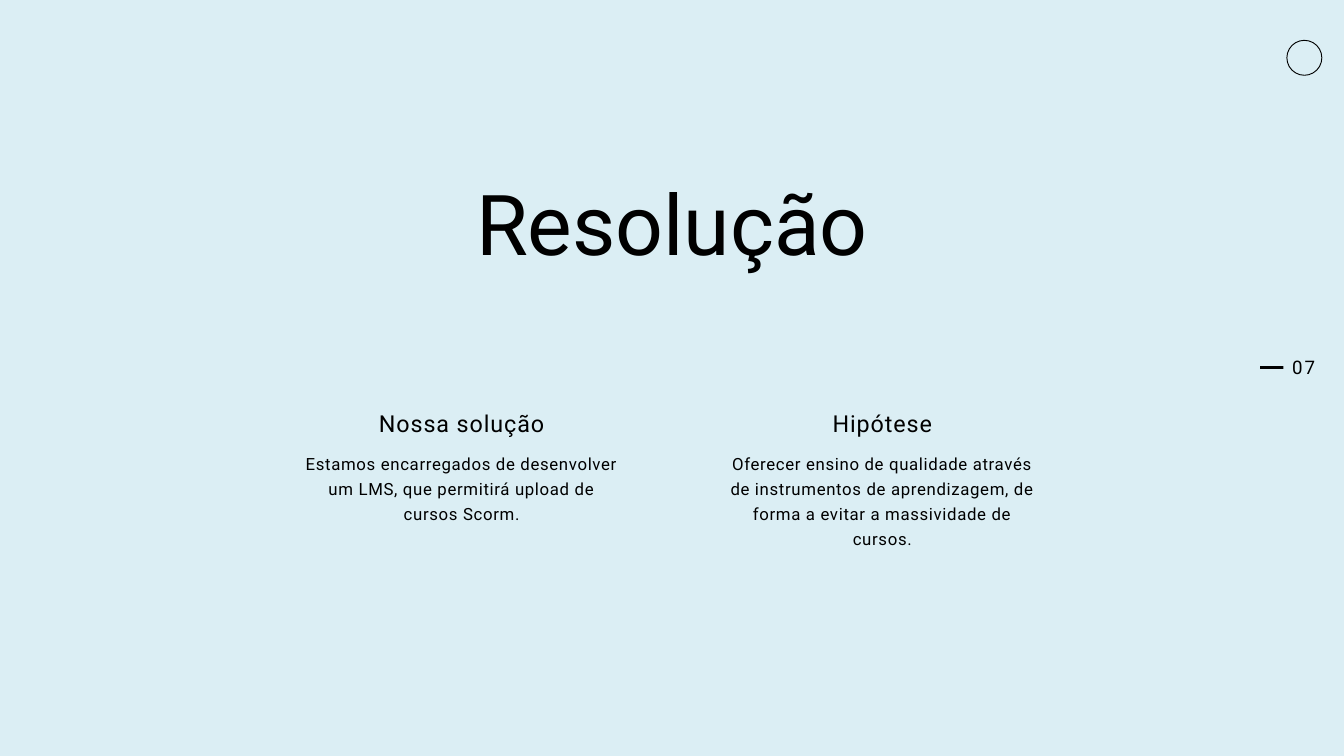
"""Build the "Resolução" slide: a centred title above two text columns."""
from pptx import Presentation
from pptx.dml.color import RGBColor
from pptx.enum.shapes import MSO_SHAPE
from pptx.enum.text import MSO_ANCHOR, MSO_AUTO_SIZE, PP_ALIGN
from pptx.util import Inches, Pt

OVAL, RECTANGLE = MSO_SHAPE.OVAL, MSO_SHAPE.RECTANGLE
CENTER, RIGHT = PP_ALIGN.CENTER, PP_ALIGN.RIGHT
TOP, NO_FIT = MSO_ANCHOR.TOP, MSO_AUTO_SIZE.NONE
BLACK = RGBColor(0x00, 0x00, 0x00)
PALE_BLUE = RGBColor(0xDB, 0xEE, 0xF4)
FONT = "Roboto"
WIDTH, HEIGHT = 20, 11.25
TITLE_WIDTH, HEADING_WIDTH, BODY_WIDTH = 7.82, 4.3, 4.79
COLUMN_OFFSET = 3.13
COLUMNS = [
    ("Nossa solução",
     "Estamos encarregados de desenvolver um LMS, que permitirá upload de cursos Scorm.", 1.1),
    ("Hipótese",
     "Oferecer ensino de qualidade através de instrumentos de aprendizagem, "
     "de forma a evitar a massividade de cursos.", 1.48),
]


def write(sp, text, size, leading, spacing=0, align=CENTER):
    tf = sp.text_frame
    tf.margin_left = tf.margin_top = tf.margin_right = tf.margin_bottom = 0
    tf.word_wrap = True
    tf.auto_size = NO_FIT
    tf.vertical_anchor = TOP
    tf.text = text
    p = tf.paragraphs[0]
    p.alignment = align
    p.line_spacing = Pt(leading)
    r = p.runs[0]
    r.font.name = FONT
    r.font.size = Pt(size)
    r.font.color.rgb = BLACK
    r._r.get_or_add_rPr().set("spc", str(round(spacing * 100)))


def add_text(left, top, width, height, *style):
    sp = s.shapes.add_textbox(Inches(left), Inches(top), Inches(width), Inches(height))
    write(sp, *style)


prs = Presentation()
prs.slide_width, prs.slide_height = Inches(WIDTH), Inches(HEIGHT)
s = prs.slides.add_slide(prs.slide_layouts[5])
s.background.fill.solid()
s.background.fill.fore_color.rgb = PALE_BLUE

title = s.shapes.title
title.left, title.top = Inches((WIDTH - TITLE_WIDTH) / 2), Inches(2.68)
title.width, title.height = Inches(TITLE_WIDTH), Inches(1.41)
write(title, "Resolução", 90, 99)

ring = s.shapes.add_shape(OVAL, Inches(19.15), Inches(0.6), Inches(0.52), Inches(0.52))
ring.shadow.inherit = False
ring.fill.background()
ring.line.color.rgb = BLACK
ring.line.width = Pt(1)

dash = s.shapes.add_shape(RECTANGLE, Inches(18.75), Inches(5.45), Inches(0.35), Inches(0.04))
dash.shadow.inherit = False
dash.fill.solid()
dash.fill.fore_color.rgb = BLACK
dash.line.fill.background()
add_text(19.07, 5.29, 0.5, 0.34, "07", 20, 24, 2, RIGHT)

for side, (heading, body, body_height) in zip((-1, 1), COLUMNS):
    middle = WIDTH / 2 + side * COLUMN_OFFSET
    add_text(middle - HEADING_WIDTH / 2, 6.06, HEADING_WIDTH, 0.43, heading, 25, 32.5, 1)
    add_text(middle - BODY_WIDTH / 2, 6.67, BODY_WIDTH, body_height, body, 18, 27, 0.7)

prs.save("out.pptx")
